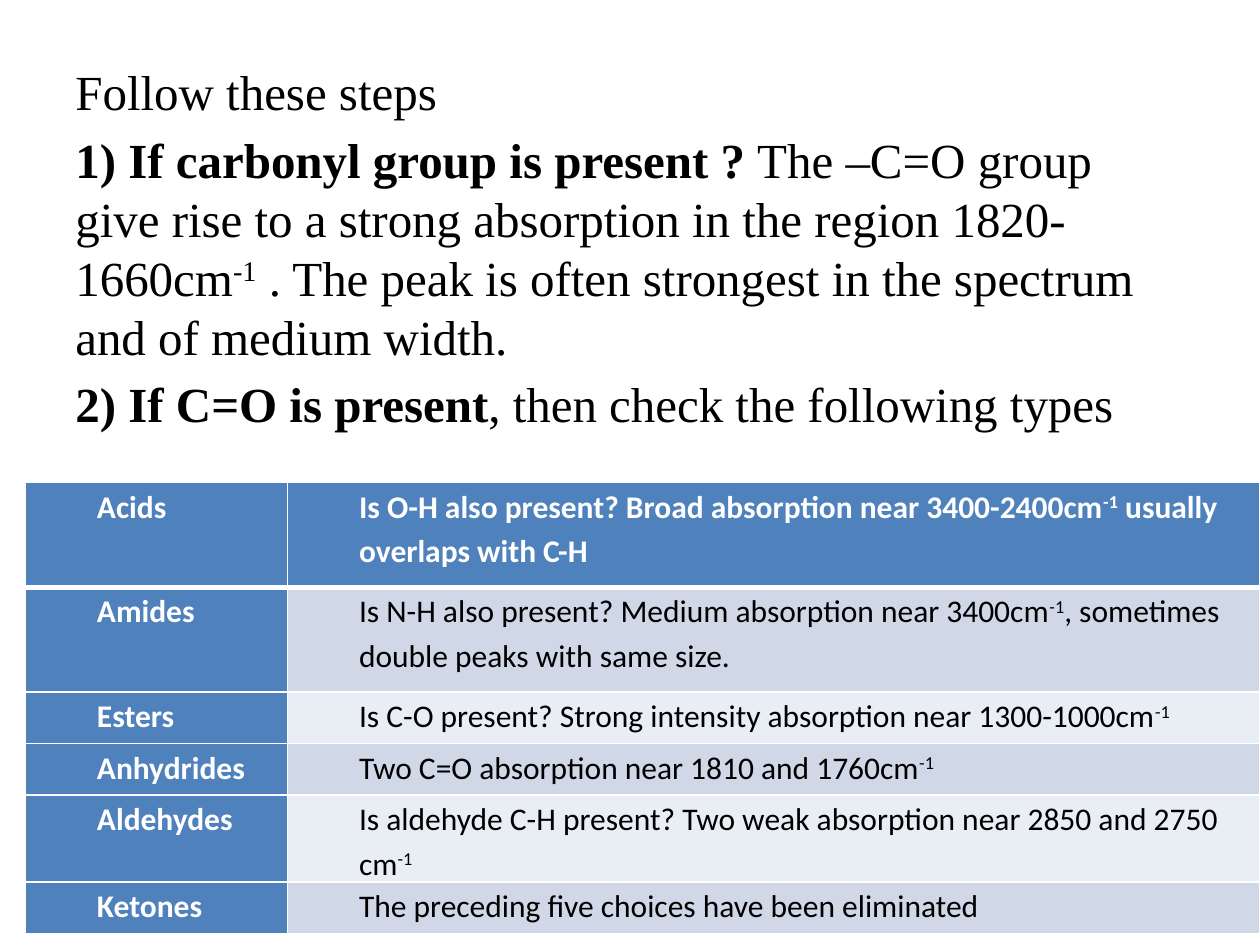
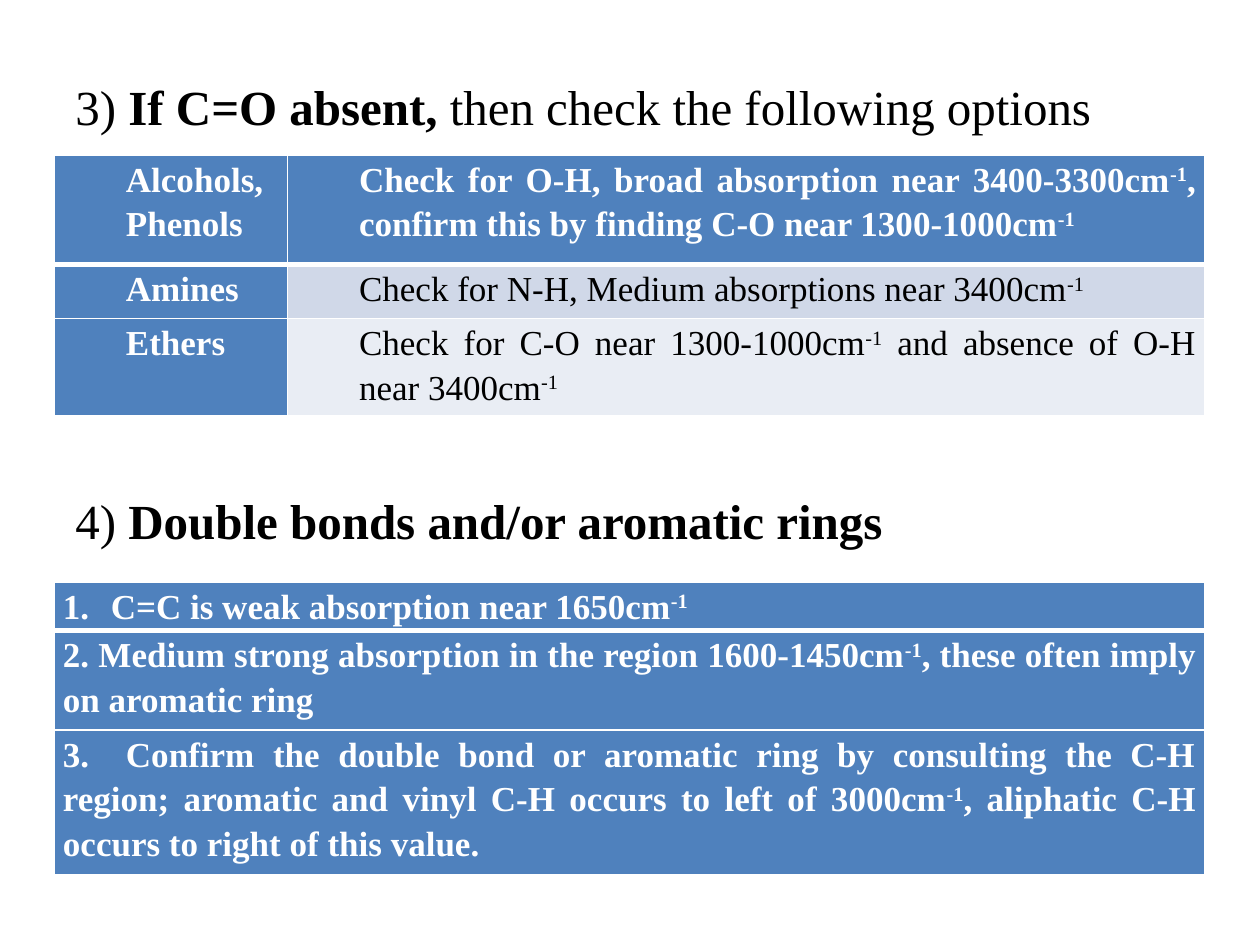
from lxml import etree
from pptx import Presentation
from pptx.dml.color import RGBColor
from pptx.enum.text import MSO_ANCHOR, PP_ALIGN
from pptx.oxml.ns import qn
from pptx.util import Inches, Pt

LEFT, JUSTIFY = PP_ALIGN.LEFT, PP_ALIGN.JUSTIFY
TOP = MSO_ANCHOR.TOP
WIDTH, HEIGHT = Inches(10), Inches(7.5)
SERIF, SANS = "Times New Roman", "Calibri"
BLACK, WHITE, BLUE = "000000", "FFFFFF", "4F81BD"
BANDS = ["E9EDF4", "D0D8E8"]
THIN, THICK = 1, 3

# Boxes are left, top, width, height in percent of the slide.
STEPS_BOX = (5, 5.87, 90, 43.07)
CARBONYL_BOX = (2, 51.07, 98, 44)
ABSENT_BOX = (5, 7.47, 90, 8)
OPTIONS_BOX = (4.3, 16.4, 91.3, 23.07)
RINGS_BOX = (5, 51.2, 90, 8)
RINGS_TABLE_BOX = (4.3, 61.6, 91.3, 25.73)

# In all wording, *...* is bold and ^...^ is superscript.
STEPS = [
    "Follow these steps",
    "*1) If carbonyl group is present ? *The –C=O group give rise to a strong "
    "absorption in the region 1820-1660cm^-1^ . The peak is often strongest in "
    "the spectrum and of medium width.",
    "*2) If C=O is present*, then check the following types",
]
CARBONYL_TYPES = [
    ("Acids", "Is O-H also present? Broad absorption near 3400-2400cm^-1^ "
              "usually overlaps with C-H"),
    ("Amides", "Is N-H also present? Medium absorption near 3400cm^-1^, "
               "sometimes double peaks with same size."),
    ("Esters", "Is C-O present? Strong intensity absorption near 1300-1000cm^-1^"),
    ("Anhydrides", "Two C=O absorption near 1810 and 1760cm^-1^"),
    ("Aldehydes", "Is aldehyde C-H present? Two weak absorption near 2850 and "
                  "2750 cm^-1^"),
    ("Ketones", "The preceding five choices have been eliminated"),
]
OPTIONS = [
    ("Alcohols, Phenols", "Check for O-H, broad absorption near 3400-3300cm^-1^, "
                          "confirm this by finding C-O near 1300-1000cm^-1^"),
    ("Amines", "Check for N-H, Medium absorptions near 3400cm^-1^"),
    ("Ethers", "Check for C-O near 1300-1000cm^-1^ and absence of O-H near "
               "3400cm^-1^"),
]
RING_CHECKS = [
    ("C=C is weak absorption near 1650cm^-1^",),
    ("2. Medium strong absorption in the region 1600-1450cm^-1^, these often "
     "imply on aromatic ring",),
    ("3.\tConfirm the double bond or aromatic ring by consulting the C-H region; "
     "aromatic and vinyl C-H occurs to left of 3000cm^-1^, aliphatic C-H occurs "
     "to right of this value.",),
]


def color(hex_string):
    return RGBColor.from_string(hex_string)


def across(percent):
    return round(WIDTH * percent / 100)


def down(percent):
    return round(HEIGHT * percent / 100)


def place(box):
    left, top, width, height = box
    return across(left), down(top), across(width), down(height)


def write(p, text, size=28, font=SERIF, fill=BLACK, bold=False, align=LEFT,
          line=1.0, before=0, margin=0, numbered=False, tab=None):
    """Fill a paragraph, reading *bold* and ^superscript^ marks."""
    p.alignment, p.line_spacing, p.space_before = align, line, Pt(before)
    pPr = p._p.get_or_add_pPr()
    pPr.set("marL", str(Inches(margin)))
    pPr.set("indent", str(-Inches(margin) if numbered else 0))
    if numbered:
        etree.SubElement(pPr, qn("a:buFont"), typeface="+mj-lt")
        etree.SubElement(pPr, qn("a:buAutoNum"), type="arabicPeriod")
    if tab:
        tabs = etree.SubElement(pPr, qn("a:tabLst"))
        etree.SubElement(tabs, qn("a:tab"), pos=str(Inches(tab)), algn="l")
    for i, part in enumerate(text.split("*")):
        for j, piece in enumerate(part.split("^")):
            if not piece:
                continue
            r = p.add_run()
            r.text = piece
            r.font.size, r.font.name = Pt(size), font
            r.font.bold = bold or i % 2 == 1
            r.font.color.rgb = color(fill)
            if j % 2:
                r._r.get_or_add_rPr().set("baseline", "30000")


def add_body(s, box, texts):
    tf = s.shapes.add_textbox(*place(box)).text_frame
    tf.word_wrap = True
    for i, text in enumerate(texts):
        p = tf.add_paragraph() if i else tf.paragraphs[0]
        write(p, text, before=5.2 if i else 0)


def set_borders(cell, **widths):
    tcPr = cell._tc.get_or_add_tcPr()
    for side in "LRTB":
        ln = etree.SubElement(tcPr, qn(f"a:ln{side}"),
                              w=str(Pt(widths.get(side, THIN))))
        fill = etree.SubElement(ln, qn("a:solidFill"))
        etree.SubElement(fill, qn("a:srgbClr"), val=WHITE)


def add_grid(s, box, columns, rows, entries, text_format):
    """Table with a blue header row and first column; text_format(row) gives extras."""
    shape = s.shapes.add_table(len(rows), len(columns), *place(box))
    table = shape.table
    for column, width in zip(table.columns, columns):
        column.width = across(width)
    for row, height in zip(table.rows, rows):
        row.height = down(height)
    for i, entry in enumerate(entries):
        for j, text in enumerate(entry):
            cell = table.cell(i, j)
            heading = i == 0 or j == 0
            set_borders(cell, T=THICK if i == 1 else THIN,
                        B=THICK if i == 0 else THIN)
            cell.fill.solid()
            cell.fill.fore_color.rgb = color(BLUE if heading else BANDS[i % 2])
            cell.margin_left = cell.margin_right = Inches(0.07)
            cell.margin_top = cell.margin_bottom = 0
            cell.vertical_anchor = TOP
            write(cell.text_frame.paragraphs[0], text, bold=heading, line=1.15,
                  fill=WHITE if heading else BLACK, **text_format(i))


def carbonyl_format(row):
    return dict(size=18, font=SANS, margin=0.5)


def option_format(row):
    return dict(size=20, align=JUSTIFY, margin=0.5)


def ring_format(row):
    extras = [dict(margin=0.38, numbered=True), {}, dict(tab=0.35)]
    return dict(size=20, align=JUSTIFY, **extras[row])


def carbonyl_slide(s):
    add_body(s, STEPS_BOX, STEPS)
    add_grid(s, CARBONYL_BOX, [20.8, 77.2], [11.07] * 2 + [5.47] * 4,
             CARBONYL_TYPES, carbonyl_format)


def no_carbonyl_slide(s):
    add_body(s, ABSENT_BOX,
             ["3) *If C=O absent, *then check the following options"])
    add_grid(s, OPTIONS_BOX, [18.5, 72.8], [11.6, 5.73, 5.73],
             OPTIONS, option_format)
    add_body(s, RINGS_BOX, ["4) *Double bonds and/or aromatic rings*"])
    add_grid(s, RINGS_TABLE_BOX, [91.3], [4.93, 10.53, 10.27],
             RING_CHECKS, ring_format)


def main():
    prs = Presentation()
    prs.slide_width, prs.slide_height = WIDTH, HEIGHT
    blank = prs.slide_layouts[6]
    for build in (carbonyl_slide, no_carbonyl_slide):
        build(prs.slides.add_slide(blank))
    prs.save("out.pptx")


if __name__ == "__main__":
    main()
